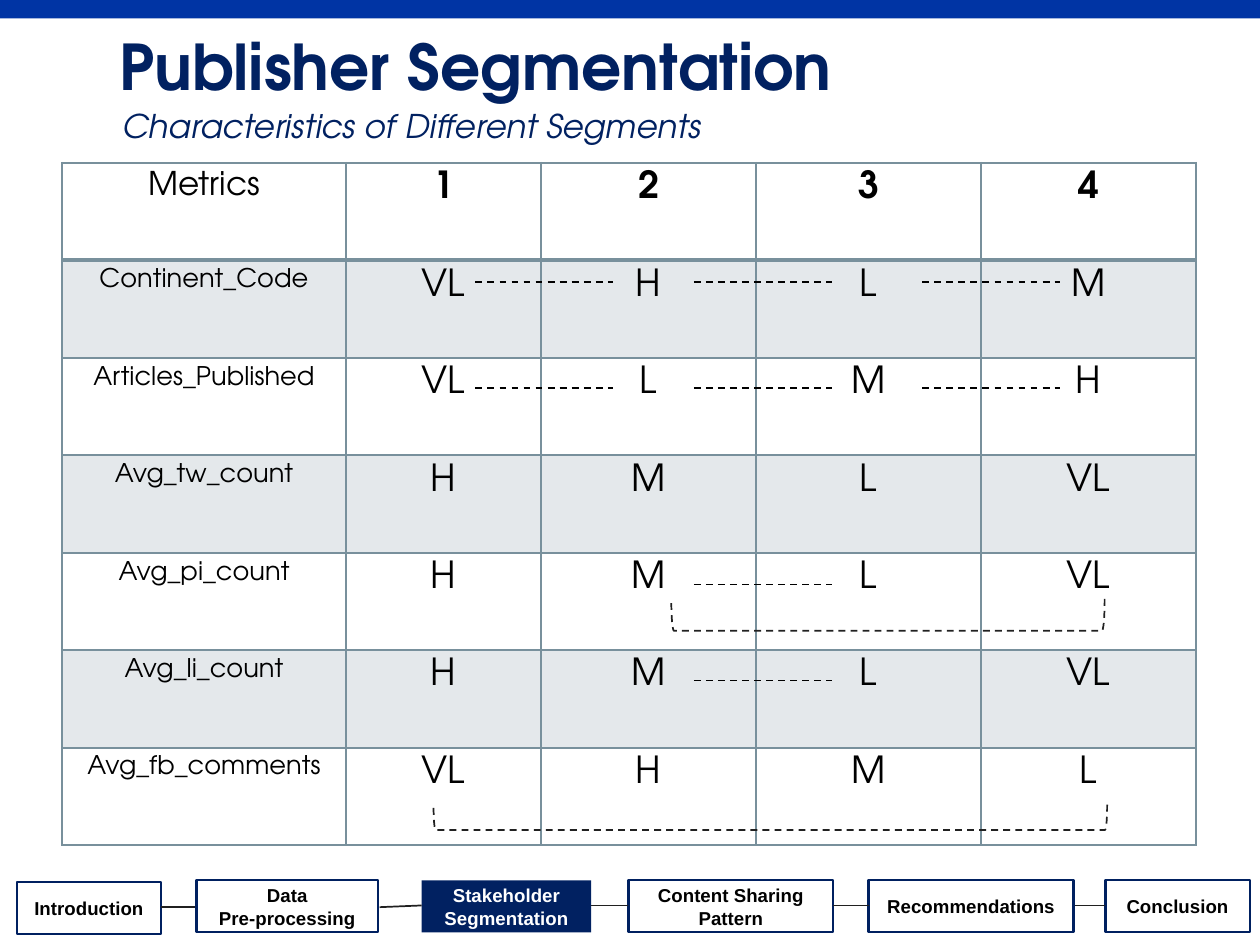
from pptx import Presentation
from pptx.util import Inches, Pt
from pptx.dml.color import RGBColor as RGB
from pptx.enum.dml import MSO_LINE as Dash
from pptx.enum.shapes import MSO_CONNECTOR as Link, MSO_SHAPE as Shape
from pptx.enum.text import MSO_ANCHOR as Anchor, PP_ALIGN as Align
from pptx.oxml import parse_xml
from lxml.etree import SubElement
from pptx.oxml.ns import nsdecls, qn

INK = {"navy": "012161", "edge": "002060", "bar": "0034A4", "grid": "78909C",
       "link": "202020", "bend": "212121", "black": "000000", "white": "FFFFFF"}
FACE = "TeX Gyre Adventor"


def write(para, text, size, ink, face=FACE, bold=False, italic=False):
    run = para.add_run()
    run.text = text
    font = run.font
    font.size, font.name, font.bold, font.italic = Pt(size), face, bold, italic
    font.color.rgb = RGB.from_string(INK[ink])


def draw_line(x1, y1, x2, y2, ink, dash=None):
    line = slide.shapes.add_connector(
        Link.STRAIGHT, Inches(x1), Inches(y1), Inches(x2), Inches(y2))
    line.line.color.rgb = RGB.from_string(INK[ink])
    line.line.width = Pt(0.75)
    line.line.dash_style = dash
    SubElement(line._element.spPr, qn("a:effectLst"))


deck = Presentation()
deck.slide_width = Inches(7.5)
deck.slide_height = Inches(7.5 * 3 / 4)
slide = deck.slides.add_slide(deck.slide_layouts[6])

bar = slide.shapes.add_shape(Shape.RECTANGLE, 0, 0, Inches(7.5), Inches(0.11))
bar.shadow.inherit = False
bar.fill.solid()
bar.fill.fore_color.rgb = RGB.from_string(INK["bar"])
bar.line.fill.background()

steps = [
    (0.1, 5.25, 0.86, ["Introduction"]),
    (1.17, 5.24, 1.08, ["Data", "Pre-processing"]),
    (2.51, 5.24, 1.01, ["Stakeholder Segmentation"]),
    (3.74, 5.24, 1.22, ["Content Sharing Pattern"]),
    (5.17, 5.24, 1.22, ["Recommendations"]),
    (6.58, 5.24, 0.86, ["Conclusion"]),
]
for left, top, width, lines in steps:
    here = lines[0].startswith("Stakeholder")
    box = slide.shapes.add_shape(
        Shape.RECTANGLE, Inches(left), Inches(top), Inches(width), Inches(0.31))
    box.shadow.inherit = False
    box.fill.solid()
    box.fill.fore_color.rgb = RGB.from_string(INK["navy" if here else "white"])
    if here:
        box.line.fill.background()
    else:
        box.line.color.rgb = RGB.from_string(INK["edge"])
        box.line.width = Pt(1)
    frame = box.text_frame
    frame.word_wrap = True
    frame.vertical_anchor = Anchor.MIDDLE
    frame.margin_left = frame.margin_right = Inches(0.05)
    for i, text in enumerate(lines):
        para = frame.add_paragraph() if i else frame.paragraphs[0]
        para.alignment = Align.CENTER
        write(para, text, 8, "white" if here else "black", "Arial", bold=True)

for x1, y1, x2, y2 in [(0.96, 5.4, 1.16, 5.4), (2.26, 5.4, 2.51, 5.39),
                       (3.52, 5.39, 3.74, 5.39), (4.96, 5.39, 5.17, 5.39),
                       (6.4, 5.39, 6.58, 5.39)]:
    draw_line(x1, y1, x2, y2, "link")

title = slide.shapes.add_textbox(Inches(0.65), Inches(0.16), Inches(4.5), Inches(0.51))
frame = title.text_frame
frame.word_wrap = True
frame.vertical_anchor = Anchor.MIDDLE
frame.margin_left = frame.margin_right = Inches(0.06)
frame.margin_top = frame.margin_bottom = Inches(0.03)
frame.paragraphs[0].line_spacing = 0.9
write(frame.paragraphs[0], "Publisher Segmentation", 27, "navy", bold=True)

sub = slide.shapes.add_textbox(Inches(0.63), Inches(0.58), Inches(5.02), Inches(0.34))
sub.text_frame.word_wrap = True
write(sub.text_frame.paragraphs[0], "Characteristics of Different Segments",
      14, "navy", italic=True)

rows = [
    ["Metrics", "1", "2", "3", "4"],
    ["Continent_Code", "VL", "H", "L", "M"],
    ["Articles_Published", "VL", "L", "M", "H"],
    ["Avg_tw_count", "H", "M", "L", "VL"],
    ["Avg_pi_count", "H", "M", "L", "VL"],
    ["Avg_li_count", "H", "M", "L", "VL"],
    ["Avg_fb_comments", "VL", "H", "M", "L"],
]
table = slide.shapes.add_table(
    7, 5, Inches(0.37), Inches(0.97), Inches(6.75), Inches(4.06)).table
table.first_row = table.horz_banding = False
for col, width in zip(table.columns, [1.69, 1.16, 1.28, 1.34, 1.28]):
    col.width = Inches(width)
for r, row in enumerate(rows):
    table.rows[r].height = Inches(0.58)
    for c, text in enumerate(row):
        cell = table.cell(r, c)
        para = cell.text_frame.paragraphs[0]
        para.alignment = Align.CENTER
        size = 16 if c else 11 if r else 14
        write(para, text, size, "black", bold=r == 0 and c > 0)
        props = cell._tc.get_or_add_tcPr()
        for side in "LRTB":
            thick = (r, side) in [(0, "B"), (1, "T")]
            props.append(parse_xml(
                f'<a:ln{side} {nsdecls("a")} w="{Pt(2 if thick else 1)}"><a:solidFill>'
                f'<a:srgbClr val="{INK["grid"]}"/></a:solidFill></a:ln{side}>'))
        if r % 2:
            cell.fill.solid()
            cell.fill.fore_color.rgb = RGB.from_string(INK["grid"])
            tint = props.find(qn("a:solidFill")).find(qn("a:srgbClr"))
            SubElement(tint, qn("a:alpha")).set("val", "20000")
        else:
            cell.fill.background()

for y, starts in [(1.68, [2.83, 4.13, 5.49]), (2.31, [2.83, 4.13, 5.49]),
                  (3.48, [4.13]), (4.05, [4.13])]:
    for x in starts:
        draw_line(x, y, x + 0.82, y, "black", Dash.DASH)

for left, top, width, height in [(5.19, 2.37, 0.19, 2.58), (4.51, 2.86, 0.15, 4.01)]:
    bend = slide.shapes.add_shape(
        Shape.RIGHT_BRACKET, Inches(left), Inches(top), Inches(width), Inches(height))
    bend.rotation = 90
    bend.shadow.inherit = False
    bend.fill.background()
    bend.line.color.rgb = RGB.from_string(INK["bend"])
    bend.line.width = Pt(0.75)
    bend.line.dash_style = Dash.DASH

deck.save("out.pptx")
